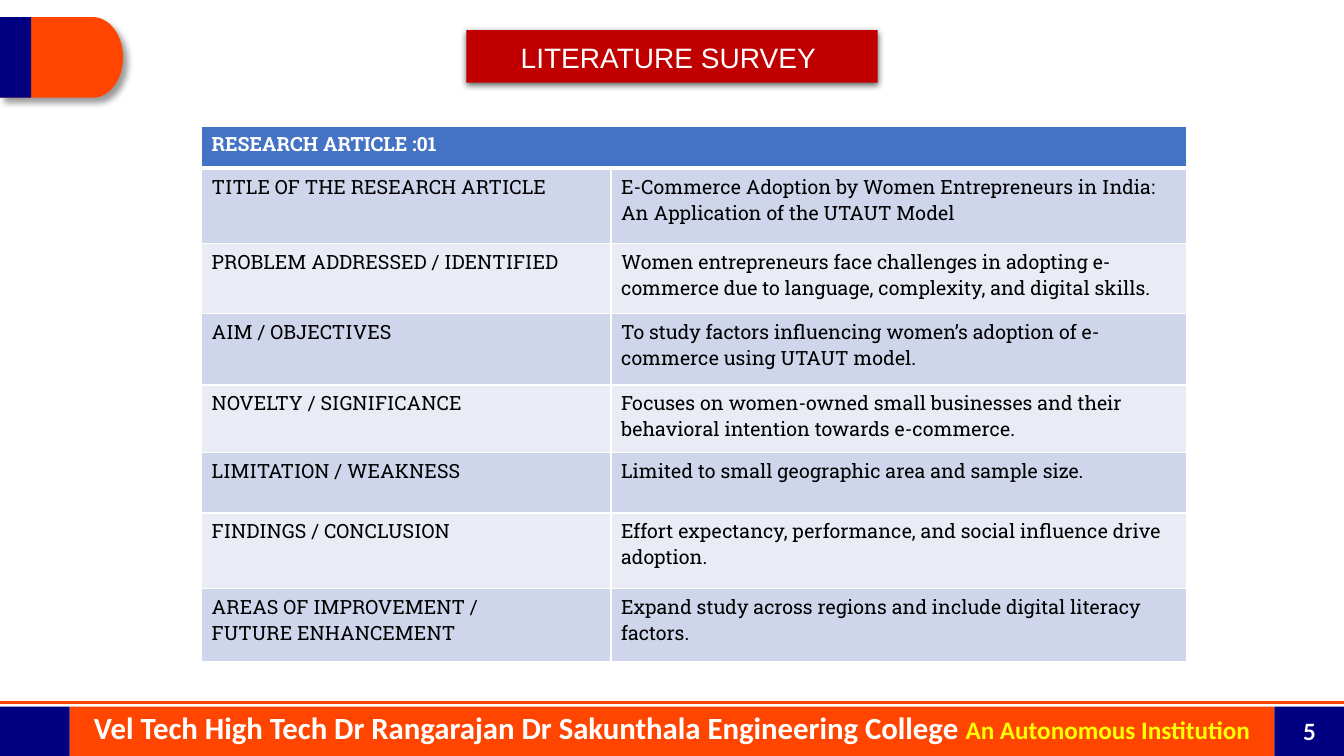
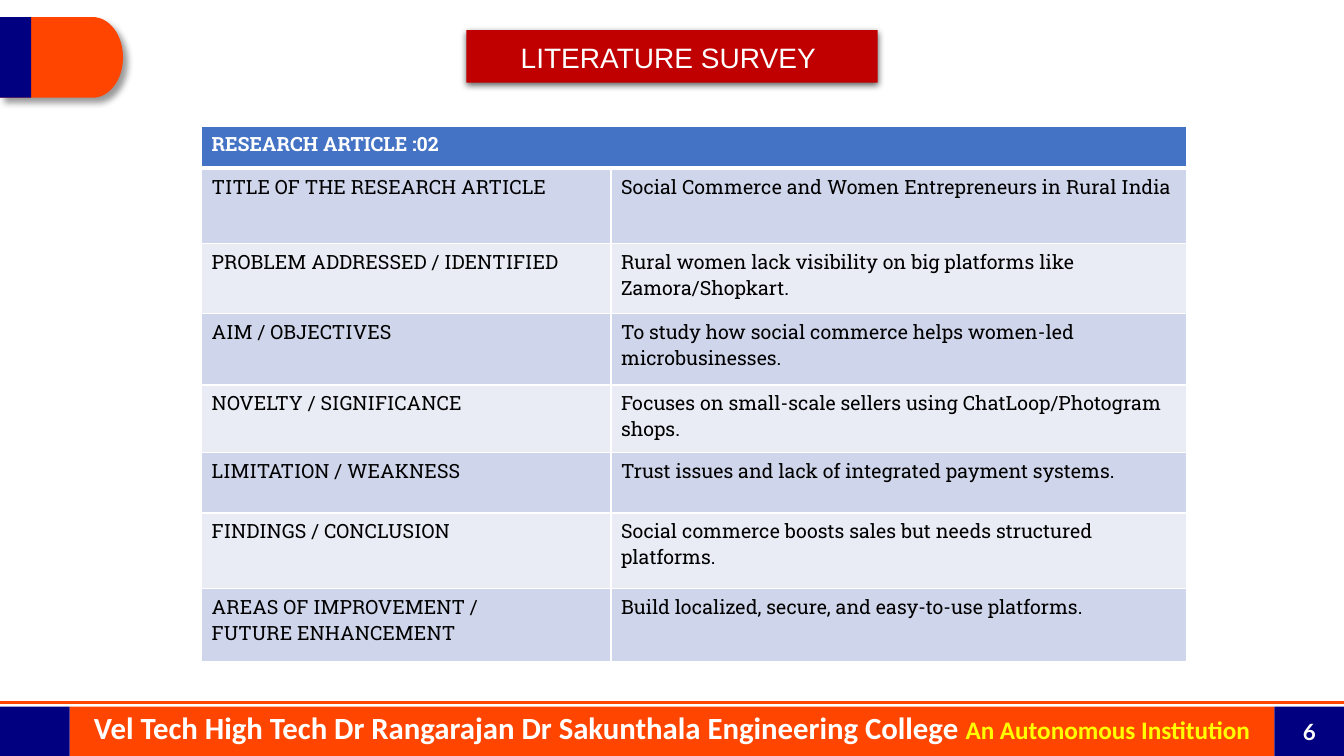
import math

from lxml import etree
from pptx import Presentation
from pptx.dml.color import RGBColor
from pptx.enum.shapes import MSO_CONNECTOR, MSO_SHAPE
from pptx.enum.text import MSO_ANCHOR, MSO_AUTO_SIZE, PP_ALIGN
from pptx.oxml import parse_xml
from pptx.oxml.ns import nsdecls, qn
from pptx.util import Inches, Pt

RECTANGLE = MSO_SHAPE.RECTANGLE
STRAIGHT = MSO_CONNECTOR.STRAIGHT
MIDDLE = MSO_ANCHOR.MIDDLE
CENTER = PP_ALIGN.CENTER
NO_AUTOFIT = MSO_AUTO_SIZE.NONE

ORANGE = RGBColor(0xFF, 0x45, 0x00)
NAVY = RGBColor(0x00, 0x00, 0x80)
RED = RGBColor(0xC0, 0x00, 0x00)
WHITE = RGBColor(0xFF, 0xFF, 0xFF)
BLACK = RGBColor(0x00, 0x00, 0x00)
YELLOW = RGBColor(0xFF, 0xFF, 0x00)
HEADER_BLUE = RGBColor(0x44, 0x72, 0xC4)
BANDS = (RGBColor(0xCF, 0xD5, 0xEA), RGBColor(0xE9, 0xEB, 0xF5))

SLIDE_W, SLIDE_H = 13.33, 7.5
FOOTER_TOP, FOOTER_H = 7.01, 0.5
FOOTER_END_W = 0.69
TAB_TOP, TAB_W, TAB_H = 0.17, 1.22, 0.8
TAB_CURVE_W = 0.3
TITLE_W, TITLE_H, TITLE_TOP = 4.08, 0.52, 0.3
TABLE_LEFT, TABLE_TOP = 2, 1.25
TABLE_COLS = (4.06, 5.71)
TABLE_ROWS = (0.42, 0.75, 0.69, 0.71, 0.67, 0.6, 0.75, 0.72)

FIRST_PAGE = 5
LABELS = (
    "TITLE OF THE RESEARCH ARTICLE",
    "PROBLEM ADDRESSED / IDENTIFIED",
    "AIM / OBJECTIVES",
    "NOVELTY / SIGNIFICANCE",
    "LIMITATION / WEAKNESS",
    "FINDINGS / CONCLUSION",
    "AREAS OF IMPROVEMENT /\nFUTURE ENHANCEMENT",
)
ARTICLES = (
    ("RESEARCH ARTICLE :01", (
        "E-Commerce Adoption by Women Entrepreneurs in India: "
        "An Application of the UTAUT Model",
        "Women entrepreneurs face challenges in adopting e-commerce due to "
        "language, complexity, and digital skills.",
        "To study factors influencing women’s adoption of e-commerce using "
        "UTAUT model.",
        "Focuses on women-owned small businesses and their behavioral "
        "intention towards e-commerce.",
        "Limited to small geographic area and sample size.",
        "Effort expectancy, performance, and social influence drive adoption.",
        "Expand study across regions and include digital literacy factors.",
    )),
    ("RESEARCH ARTICLE :02", (
        "Social Commerce and Women Entrepreneurs in Rural India",
        "Rural women lack visibility on big platforms like Zamora/Shopkart.",
        "To study how social commerce helps women-led microbusinesses.",
        "Focuses on small-scale sellers using ChatLoop/Photogram shops.",
        "Trust issues and lack of integrated payment systems.",
        "Social commerce boosts sales but needs structured platforms.",
        "Build localized, secure, and easy-to-use platforms.",
    )),
)


def style_run(run, font_name, size, color, bold=False):
    font = run.font
    font.name, font.size, font.bold = font_name, Pt(size), bold
    font.color.rgb = color


def paint(shape, color):
    shape.fill.solid()
    shape.fill.fore_color.rgb = color
    shape.line.fill.background()
    shape.shadow.inherit = False


def cast_shadow(shape, opacity, blur, distance, angle):
    effects = shape.element.spPr.find(qn("a:effectLst"))
    effects.append(parse_xml(
        f'<a:outerShdw {nsdecls("a")} blurRad="{Pt(blur)}" '
        f'dist="{Pt(distance)}" dir="{angle * 60000}" algn="ctr" '
        f'rotWithShape="0"><a:srgbClr val="000000">'
        f'<a:alpha val="{opacity * 1000}"/></a:srgbClr></a:outerShdw>'))


def add_block(slide, left, top, width, height, color):
    block = slide.shapes.add_shape(
        RECTANGLE, Inches(left), Inches(top), Inches(width), Inches(height))
    paint(block, color)
    block.text_frame.vertical_anchor = MIDDLE
    return block


def add_footer_rule(slide):
    y = Inches(FOOTER_TOP - 0.04)
    rule = slide.shapes.add_connector(STRAIGHT, 0, y, Inches(SLIDE_W), y)
    rule.line.color.rgb = ORANGE
    rule.line.width = Pt(2)
    etree.SubElement(rule.element.spPr, qn("a:effectLst"))
    return rule


def add_college_band(slide):
    band = add_block(slide, FOOTER_END_W, FOOTER_TOP,
                     SLIDE_W - 2 * FOOTER_END_W, FOOTER_H, ORANGE)
    line = band.text_frame.paragraphs[0]
    line.alignment, line.line_spacing = CENTER, 0.7
    for text, size, color in (
            ("Vel Tech High Tech Dr Rangarajan Dr Sakunthala "
             "Engineering College ", 22, WHITE),
            ("An Autonomous Institution", 18, YELLOW)):
        run = line.add_run()
        run.text = text
        style_run(run, "Calibri", size, color, bold=True)
    return band


def add_corner_tab(slide):
    """Orange tab at the left edge, its right end half an ellipse."""
    curve_x, mid_y = TAB_W - TAB_CURVE_W, TAB_TOP + TAB_H / 2
    angles = [math.radians(degrees) for degrees in range(-90, 91, 5)]
    curve = [(Inches(curve_x + TAB_CURVE_W * math.cos(a)),
              Inches(mid_y + TAB_H / 2 * math.sin(a))) for a in angles]
    outline = slide.shapes.build_freeform(0, Inches(TAB_TOP))
    outline.add_line_segments(curve + [(0, Inches(TAB_TOP + TAB_H))])
    tab = outline.convert_to_shape()
    paint(tab, ORANGE)
    cast_shadow(tab, opacity=40, blur=5, distance=5, angle=45)
    return tab


def furnish_layout(layout, slide):
    """Build the bands and corner tab on the slide, then move them to its layout."""
    for placeholder in list(layout.placeholders):
        if placeholder.placeholder_format.idx:
            layout.shapes.element.remove(placeholder.element)
    furniture = (
        add_footer_rule(slide),
        add_college_band(slide),
        add_block(slide, SLIDE_W - FOOTER_END_W, FOOTER_TOP,
                  FOOTER_END_W, FOOTER_H, NAVY),
        add_corner_tab(slide),
        add_block(slide, 0, TAB_TOP, 0.31, TAB_H, NAVY),
        add_block(slide, 0, FOOTER_TOP, FOOTER_END_W, FOOTER_H, NAVY),
    )
    for part in furniture:
        layout.shapes.element.append(part.element)


def add_page_number(slide, number):
    box = slide.shapes.add_textbox(
        Inches(SLIDE_W - FOOTER_END_W), Inches(FOOTER_TOP),
        Inches(FOOTER_END_W), Inches(FOOTER_H))
    frame = box.text_frame
    frame.word_wrap, frame.vertical_anchor = True, MIDDLE
    frame.text = str(number)
    frame.paragraphs[0].alignment = CENTER
    style_run(frame.paragraphs[0].runs[0], "Lato", 16, WHITE, bold=True)


def set_title(slide, text):
    title = slide.shapes.title
    title.left, title.top = Inches((SLIDE_W - TITLE_W) / 2), Inches(TITLE_TOP)
    title.width, title.height = Inches(TITLE_W), Inches(TITLE_H)
    title.element.spPr.append(parse_xml(
        f'<a:prstGeom {nsdecls("a")} prst="roundRect"><a:avLst>'
        f'<a:gd name="adj" fmla="val 8900"/></a:avLst></a:prstGeom>'))
    paint(title, RED)
    cast_shadow(title, opacity=63, blur=5, distance=1.5, angle=90)
    frame = title.text_frame
    frame.text = text
    frame.auto_size, frame.vertical_anchor = NO_AUTOFIT, MIDDLE
    frame.margin_left = frame.margin_right = Inches(0.04)
    frame.margin_top = frame.margin_bottom = Inches(0.04)
    line = frame.paragraphs[0]
    line.alignment, line.line_spacing = CENTER, 1.07
    style_run(line.runs[0], "Arial", 20, WHITE)


def set_borders(cell, top=1, bottom=1):
    properties = cell._tc.get_or_add_tcPr()
    for side, width in (("L", 1), ("R", 1), ("T", top), ("B", bottom)):
        properties.append(parse_xml(
            f'<a:ln{side} {nsdecls("a")} w="{Pt(width)}"><a:solidFill>'
            f'<a:srgbClr val="{WHITE}"/></a:solidFill></a:ln{side}>'))


def fill_cell(cell, text, fill, color, bold):
    cell.fill.solid()
    cell.fill.fore_color.rgb = fill
    cell.text_frame.text = text
    for paragraph in cell.text_frame.paragraphs:
        for run in paragraph.runs:
            style_run(run, "Roboto Slab", 14, color, bold)


def add_article_table(slide, heading, findings):
    table = slide.shapes.add_table(
        len(TABLE_ROWS), len(TABLE_COLS), Inches(TABLE_LEFT), Inches(TABLE_TOP),
        Inches(sum(TABLE_COLS)), Inches(sum(TABLE_ROWS))).table
    table.horz_banding = False
    for column, width in zip(table.columns, TABLE_COLS):
        column.width = Inches(width)
    for row, height in zip(table.rows, TABLE_ROWS):
        row.height = Inches(height)

    contents = [(heading, ""), *zip(LABELS, findings)]
    for r, texts in enumerate(contents):
        is_header = r == 0
        fill = HEADER_BLUE if is_header else BANDS[(r - 1) % 2]
        for c, text in enumerate(texts):
            cell = table.cell(r, c)
            set_borders(cell, top=3 if r == 1 else 1,
                        bottom=3 if is_header else 1)
            fill_cell(cell, text, fill, WHITE if is_header else BLACK, is_header)
    table.cell(0, 0).merge(table.cell(0, 1))


def main():
    prs = Presentation()
    prs.slide_width, prs.slide_height = Inches(SLIDE_W), Inches(SLIDE_H)
    title_only = prs.slide_layouts[5]
    for page, (heading, findings) in enumerate(ARTICLES, FIRST_PAGE):
        slide = prs.slides.add_slide(title_only)
        if page == FIRST_PAGE:
            furnish_layout(title_only, slide)
        set_title(slide, "LITERATURE SURVEY ")
        add_article_table(slide, heading, findings)
        add_page_number(slide, page)
    prs.save("out.pptx")


if __name__ == "__main__":
    main()
